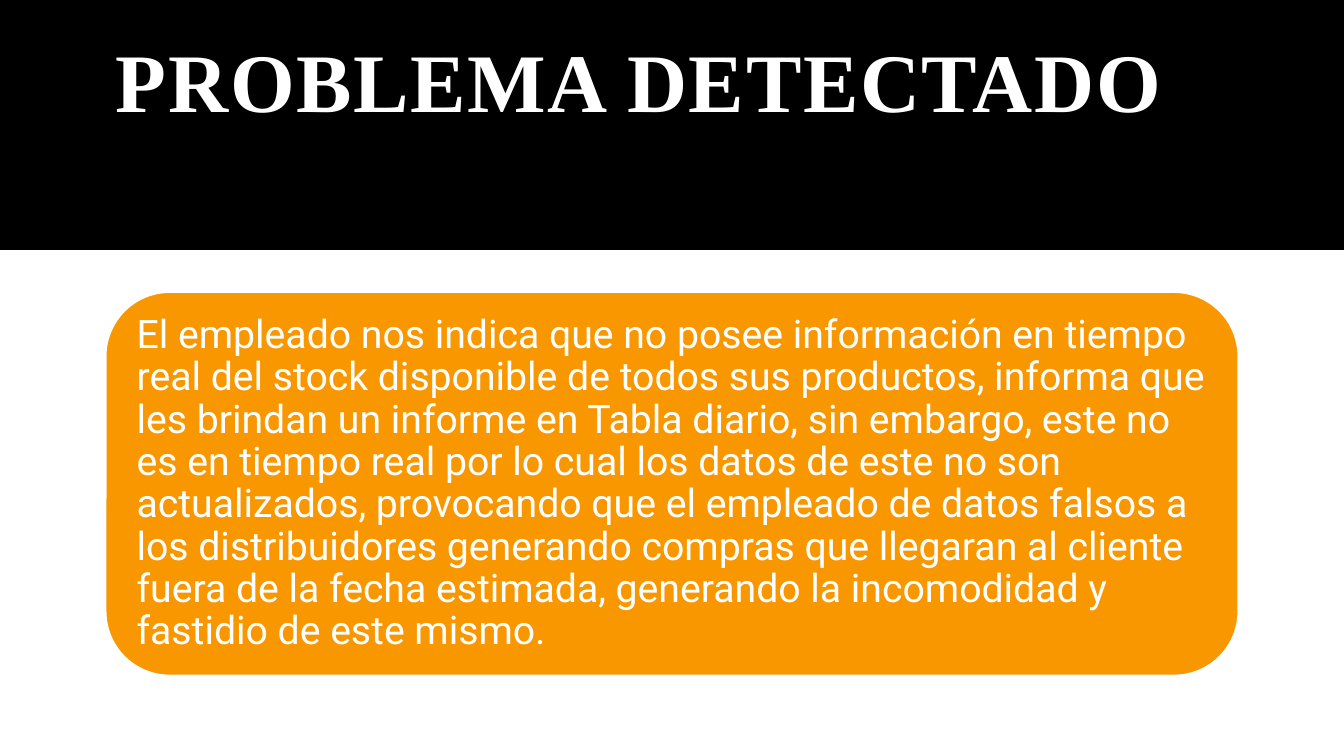
from pptx import Presentation
from pptx.dml.color import RGBColor
from pptx.enum.shapes import MSO_SHAPE
from pptx.enum.text import MSO_ANCHOR, MSO_AUTO_SIZE, PP_ALIGN
from pptx.util import Inches, Pt

LEFT, WIDTH = Inches(1.05), Inches(11.23)
PROBLEM = (
    "El empleado nos indica que no posee información en tiempo real del stock "
    "disponible de todos sus productos, informa que les brindan un informe en "
    "Tabla diario, sin embargo, este no es en tiempo real por lo cual los datos "
    "de este no son actualizados, provocando que el empleado de datos falsos a "
    "los distribuidores generando compras que llegaran al cliente fuera de la "
    "fecha estimada, generando la incomodidad y fastidio de este mismo."
)


def paint(color, target):
    """Give a fill a solid colour."""
    target.solid()
    target.fore_color.rgb = RGBColor.from_string(color)


def write(frame, text, font, size, bold):
    frame.text = text
    frame.word_wrap = True
    frame.auto_size = MSO_AUTO_SIZE.NONE
    line = frame.paragraphs[0]
    line.alignment = PP_ALIGN.LEFT
    line.line_spacing = 0.9
    run = line.runs[0]
    run.font.name = font
    run.font.size = Pt(size)
    run.font.bold = bold
    paint("FFFFFF", run.font.fill)
    return run


prs = Presentation()
prs.slide_width, prs.slide_height = Inches(13.33), Inches(7.5)
slide = prs.slides.add_slide(prs.slide_layouts[5])
shapes = slide.shapes

# Black header band, sent behind the title
band = shapes.add_shape(MSO_SHAPE.RECTANGLE, 0, 0, prs.slide_width, Inches(2.48))
band.shadow.inherit = False
paint("000000", band.fill)
band.line.fill.background()
shapes.title._element.addprevious(band._element)

# Title
title = shapes.title
title.left, title.top = LEFT, Inches(0.35)
title.width, title.height = WIDTH, Inches(1.86)
run = write(title.text_frame, "PROBLEMA DETECTADO", "Times New Roman", 59.4, True)
run.font._element.set("spc", "120")
title.text_frame.vertical_anchor = MSO_ANCHOR.TOP

# Orange card with the problem
card = shapes.add_shape(
    MSO_SHAPE.ROUNDED_RECTANGLE, LEFT, Inches(2.9), WIDTH, Inches(3.8)
)
card.shadow.inherit = False
paint("F99700", card.fill)
paint("FFFFFF", card.line.fill)
card.line.width = Pt(1)
frame = card.text_frame
write(frame, PROBLEM, "Roboto", 28, False)
frame.vertical_anchor = MSO_ANCHOR.MIDDLE
frame.margin_left = frame.margin_right = Inches(0.12)
frame.margin_top = frame.margin_bottom = Inches(0.12)

prs.save("out.pptx")
